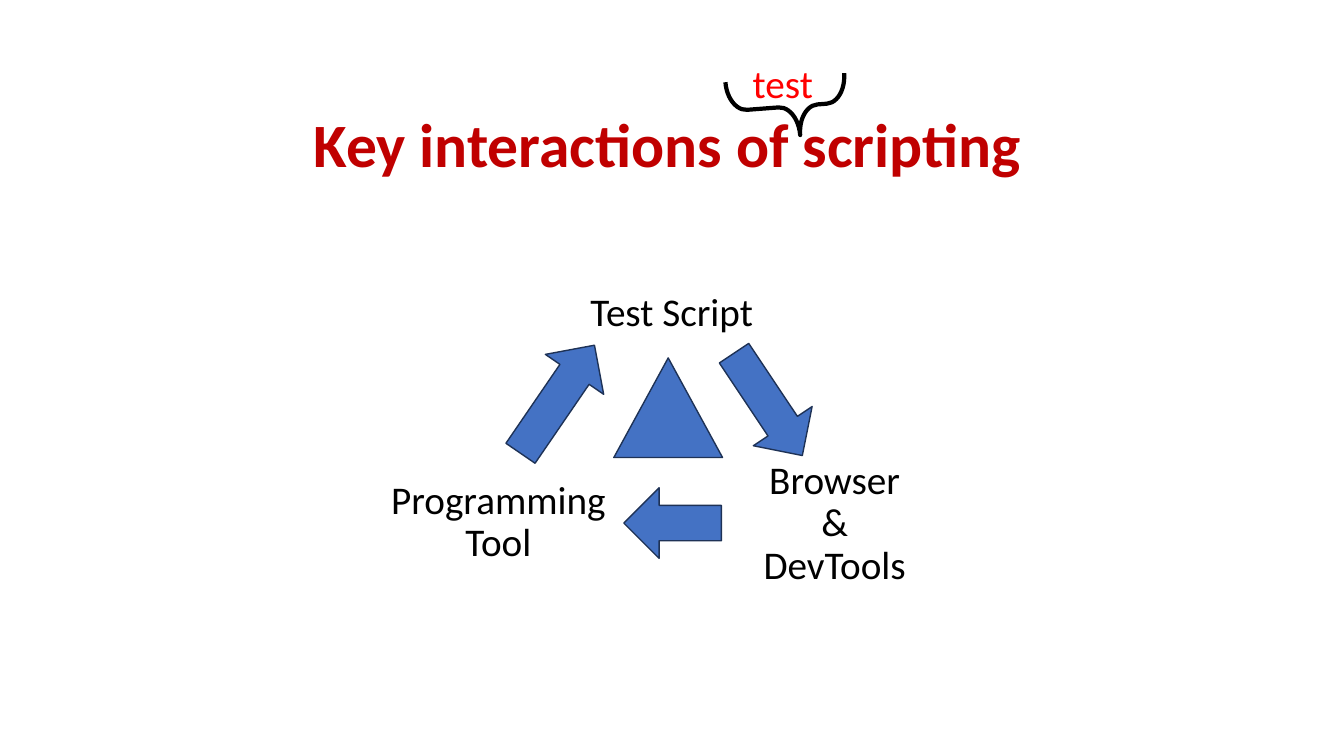
from dataclasses import dataclass

from pptx import Presentation
from pptx.dml.color import RGBColor
from pptx.enum.shapes import MSO_SHAPE
from pptx.enum.text import MSO_ANCHOR, MSO_AUTO_SIZE, PP_ALIGN
from pptx.util import Cm, Pt


@dataclass(frozen=True)
class Theme:
    font: str = "Calibri"
    title: RGBColor = RGBColor(0xC0, 0x00, 0x00)
    insertion: RGBColor = RGBColor(0xFF, 0x00, 0x00)
    ink: RGBColor = RGBColor(0x00, 0x00, 0x00)
    fill: RGBColor = RGBColor(0x44, 0x72, 0xC4)
    outline: RGBColor = RGBColor(0x1E, 0x32, 0x56)
    title_size: Pt = Pt(44)
    label_size: Pt = Pt(28)


THEME = Theme()

# Left, top, width and height in centimetres
LABELS = [
    ("Test Script", (14.63, 7.24, 4.85, 1.42), PP_ALIGN.LEFT),
    ("Programming Tool", (9.5, 11.99, 6.12, 2.34), PP_ALIGN.CENTER),
    ("Browser\v&\vDevTools", (18.85, 11.48, 4.37, 3.38), PP_ALIGN.CENTER),
]
CYCLE_ARROWS = [
    ((12.4, 9.17, 3.3, 1.78), 304.4),
    ((17.81, 9.3, 3.1, 1.78), 56.3),
    ((15.72, 12.29, 2.46, 1.78), 180),
]


def lengths(box):
    return [Cm(v) for v in box]


def set_attrs(obj, **values):
    for name, value in values.items():
        setattr(obj, name, value)


def write(tf, text, size, color, bold=False, align=PP_ALIGN.LEFT, spacing=0.9):
    tf.text = text
    p = tf.paragraphs[0]
    set_attrs(p, alignment=align, line_spacing=spacing, space_before=Pt(0))
    for r in p.runs:
        set_attrs(r.font, name=THEME.font, size=size, bold=bold)
        r.font.color.rgb = color


def set_title(s, text, box):
    title = s.shapes.title
    set_attrs(title, **dict(zip(("left", "top", "width", "height"), lengths(box))))
    tf = title.text_frame
    set_attrs(tf, word_wrap=True, auto_size=MSO_AUTO_SIZE.NONE,
              vertical_anchor=MSO_ANCHOR.MIDDLE)
    write(tf, text, THEME.title_size, THEME.title, bold=True)


def add_label(shapes, text, box, align=PP_ALIGN.LEFT, color=THEME.ink,
              wrap=True, spacing=0.9):
    tf = shapes.add_textbox(*lengths(box)).text_frame
    tf.word_wrap = wrap
    write(tf, text, THEME.label_size, color, align=align, spacing=spacing)
    return tf


def add_outlined(shapes, kind, box, rotation=0, line=THEME.outline, width=1):
    sp = shapes.add_shape(kind, *lengths(box))
    sp.rotation = rotation
    sp.shadow.inherit = False
    sp.line.color.rgb = line
    sp.line.width = Pt(width)
    return sp


def add_solid(shapes, kind, box, rotation=0):
    sp = add_outlined(shapes, kind, box, rotation)
    sp.fill.solid()
    sp.fill.fore_color.rgb = THEME.fill


def add_insertion(s, text):
    """Group a small word with the brace that inserts it into the title."""
    shapes = s.shapes.add_group_shape().shapes
    brace = add_outlined(shapes, MSO_SHAPE.LEFT_BRACE, (19.1, 1.19, 1.47, 3),
                         265.6, THEME.ink, 3)
    brace.fill.background()
    brace.adjustments[0] = 0.336
    brace.adjustments[1] = 0.592
    tf = add_label(shapes, text, (18.72, 1.37, 2.06, 1.45),
                   color=THEME.insertion, wrap=False, spacing=1.0)
    tf.auto_size = MSO_AUTO_SIZE.SHAPE_TO_FIT_TEXT


def main():
    prs = Presentation()
    set_attrs(prs, slide_width=Cm(33.87), slide_height=Cm(19.05))
    s = prs.slides.add_slide(prs.slide_layouts[5])
    set_title(s, "Key interactions of scripting", (7.65, 2.72, 18.57, 1.98))
    for text, box, align in LABELS:
        add_label(s.shapes, text, box, align)
    for box, rotation in CYCLE_ARROWS:
        add_solid(s.shapes, MSO_SHAPE.RIGHT_ARROW, box, rotation)
    add_solid(s.shapes, MSO_SHAPE.ISOSCELES_TRIANGLE, (15.47, 9.02, 2.74, 2.51))
    add_insertion(s, "test")
    prs.save("out.pptx")


if __name__ == "__main__":
    main()
